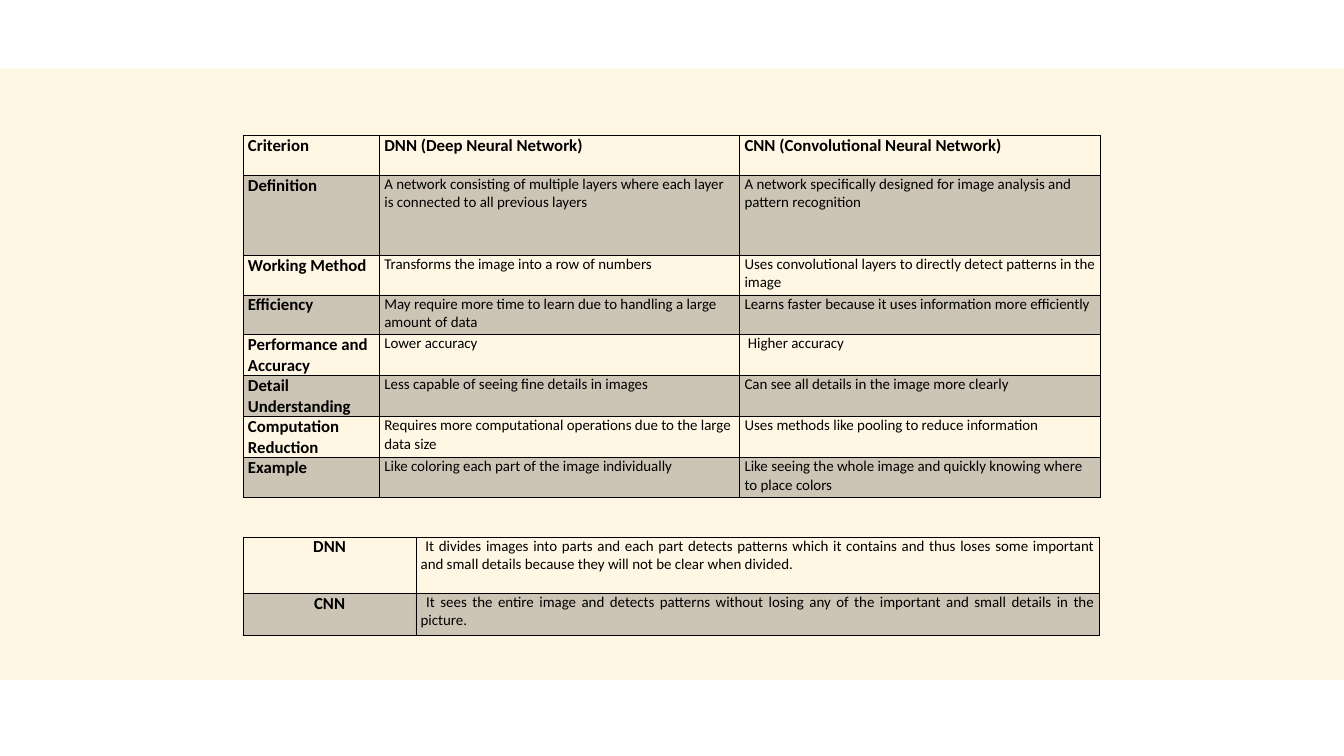
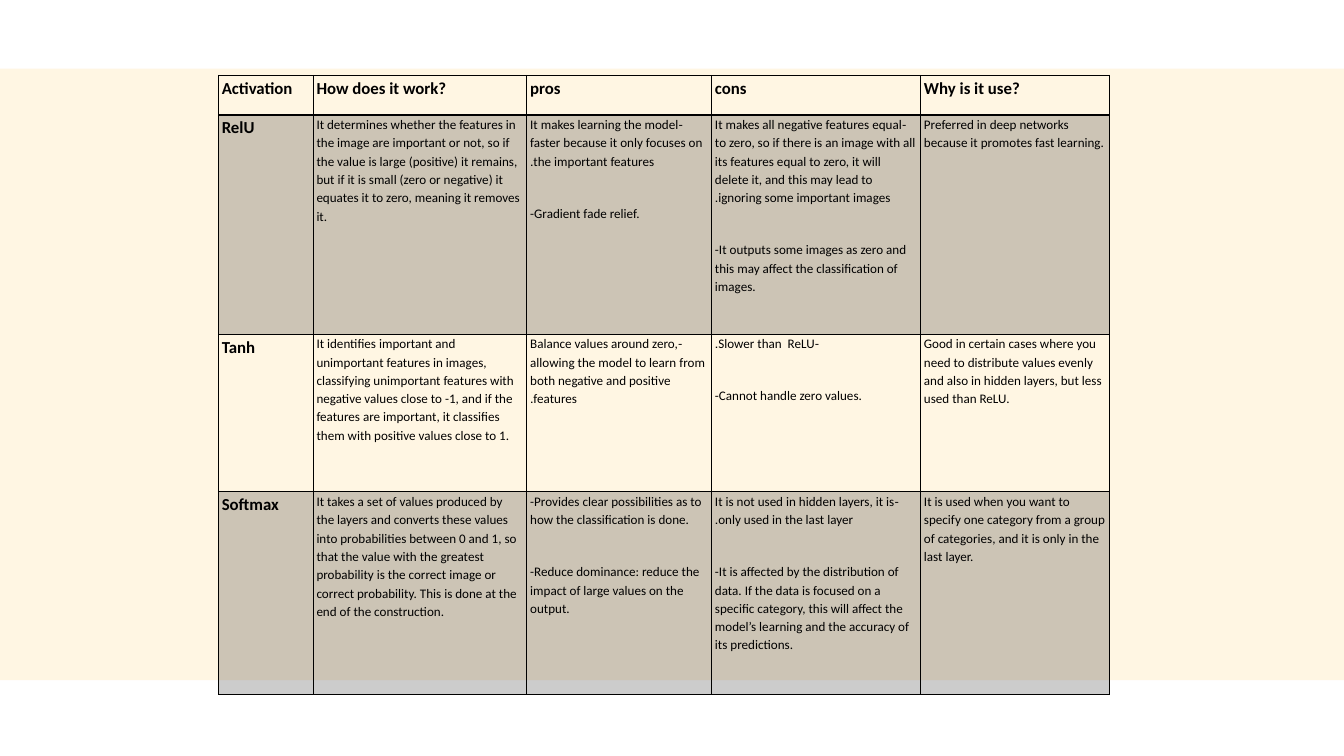
from lxml import etree
from pptx import Presentation
from pptx.dml.color import RGBColor
from pptx.enum.shapes import MSO_SHAPE
from pptx.enum.text import PP_ALIGN
from pptx.oxml.ns import qn
from pptx.util import Inches, Pt

RECTANGLE = MSO_SHAPE.RECTANGLE
LEFT, CENTER, JUSTIFY = PP_ALIGN.LEFT, PP_ALIGN.CENTER, PP_ALIGN.JUSTIFY

COLORS = {"band": "FFF6E3", "ink": "000000"}
FONT = "Calibri"
LABEL_SIZE = 18
SHADE_OPACITY = 20  # percent

NETWORKS = [
    ["Criterion", "DNN (Deep Neural Network)", "CNN (Convolutional Neural Network)"],
    ["Definition",
     "A network consisting of multiple layers where each layer is connected to all previous layers",
     "A network specifically designed for image analysis and pattern recognition"],
    ["Working Method", "Transforms the image into a row of numbers",
     "Uses convolutional layers to directly detect patterns in the image"],
    ["Efficiency", "May require more time to learn due to handling a large amount of data",
     "Learns faster because it uses information more efficiently"],
    ["Performance and Accuracy", "Lower accuracy", " Higher accuracy"],
    ["Detail Understanding", "Less capable of seeing fine details in images",
     "Can see all details in the image more clearly"],
    ["Computation Reduction",
     "Requires more computational operations due to the large data size",
     "Uses methods like pooling to reduce information"],
    ["Example", "Like coloring each part of the image individually",
     "Like seeing the whole image and quickly knowing where to place colors"],
]

SUMMARY = [
    ["DNN", " It divides images into parts and each part detects patterns which it contains and "
     "thus loses some important and small details because they will not be clear when divided."],
    ["CNN", " It sees the entire image and detects patterns without losing any of the important "
     "and small details in the picture."],
]

# A line break inside a cell starts a new paragraph
ACTIVATIONS = [
    ["Activation", "How does it work?", "pros", "cons", "Why is it use?"],
    ["RelU",
     "It determines whether the features in the image are important or not, so if the value is "
     "large (positive) it remains, but if it is small (zero or negative) it equates it to zero, "
     "meaning it removes it.",
     "-It makes learning the model faster because it only focuses on the important features.\n"
     "-Gradient fade relief.",
     "-It makes all negative features equal to zero, so if there is an image with all its "
     "features equal to zero, it will delete it, and this may lead to ignoring some important "
     "images.\n"
     "-It outputs some images as zero and this may affect the classification of images.",
     "Preferred in deep networks because it promotes fast learning."],
    ["Tanh",
     "It identifies important and unimportant features in images, classifying unimportant "
     "features with negative values close to -1, and if the features are important, it "
     "classifies them with positive values close to 1.",
     "-Balance values around zero, allowing the model to learn from both negative and positive "
     "features.",
     "-Slower than  ReLU.\n-Cannot handle zero values.",
     "Good in certain cases where you need to distribute values evenly and also in hidden "
     "layers, but less used than ReLU."],
    ["Softmax",
     "It takes a set of values produced by the layers and converts these values into "
     "probabilities between 0 and 1, so that the value with the greatest probability is the "
     "correct image or correct probability. This is done at the end of the construction.",
     "-Provides clear possibilities as to how the classification is done.\n"
     "-Reduce dominance: reduce the impact of large values on the output.",
     "-It is not used in hidden layers, it is only used in the last layer.\n"
     "-It is affected by the distribution of data. If the data is focused on a specific "
     "category, this will affect the model’s learning and the accuracy of its predictions.",
     "It is used when you want to specify one category from a group of categories, and it is "
     "only in the last layer."],
]
# Cells whose first paragraph runs right to left
RTL_CELLS = {(1, 2), (1, 3), (2, 2), (2, 3), (3, 3)}


def rgb(name):
    return RGBColor.from_string(COLORS[name])


def add_band_slide(prs):
    """Blank slide with the cream band across the middle."""
    s = prs.slides.add_slide(prs.slide_layouts[6])
    band = s.shapes.add_shape(RECTANGLE, 0, Inches(1.02), prs.slide_width, Inches(9.1))
    band.shadow.inherit = False
    band.fill.solid()
    band.fill.fore_color.rgb = rgb("band")
    band.line.fill.background()
    return s


def fill_cell(cell, shaded):
    if not shaded:
        cell.fill.background()
        return
    cell.fill.solid()
    cell.fill.fore_color.rgb = rgb("ink")
    color = cell._tc.tcPr.find(f"{qn('a:solidFill')}/{qn('a:srgbClr')}")
    etree.SubElement(color, qn("a:alpha"), val=str(SHADE_OPACITY * 1000))


def border_cell(cell, bottom):
    """Draw 1 pt borders, with a bottom border of its own width."""
    tc_pr = cell._tc.get_or_add_tcPr()
    widths = {"L": 1, "R": 1, "T": 1, "B": bottom}
    for i, (side, width) in enumerate(widths.items()):
        ln = etree.Element(qn(f"a:ln{side}"), w=str(Pt(width)))
        fill = etree.SubElement(ln, qn("a:solidFill"))
        etree.SubElement(fill, qn("a:srgbClr"), val=COLORS["ink"])
        tc_pr.insert(i, ln)


def write_cell(cell, text, size, bold, align, spacing, rtl):
    tf = cell.text_frame
    tf.text = text
    for p in tf.paragraphs:
        p.alignment = align
        if spacing:
            line, after, gap = spacing
            p.line_spacing = line
            p.space_after = Pt(after if p._p is tf.paragraphs[-1]._p else gap)
        for r in p.runs:
            r.font.name = FONT
            r.font.size = Pt(size)
            r.font.bold = bold
            r.font.color.rgb = rgb("ink")
    if rtl:
        tf.paragraphs[0]._p.get_or_add_pPr().set("rtl", "1")


def add_striped_table(s, left, top, widths, heights, rows, size, inset, header=True,
                      aligns=None, spacing=None, rtl_cells=()):
    """Bordered table with every second row shaded and bold labels."""
    frame = s.shapes.add_table(len(rows), len(widths), Inches(left), Inches(top),
                               Inches(sum(widths)), Inches(sum(heights)))
    table = frame.table
    table.first_row = table.horz_banding = False
    for column, width in zip(table.columns, widths):
        column.width = Inches(width)
    for row, height in zip(table.rows, heights):
        row.height = Inches(height)

    for i, texts in enumerate(rows):
        for j, text in enumerate(texts):
            cell = table.cell(i, j)
            cell.margin_left = cell.margin_right = Inches(inset)
            cell.margin_top = cell.margin_bottom = 0
            label = j == 0 or (header and i == 0)
            write_cell(cell, text, LABEL_SIZE if label else size, label,
                       aligns[j] if aligns else LEFT, spacing, (i, j) in rtl_cells)
            fill_cell(cell, shaded=i % 2 == 1)
            border_cell(cell, bottom=2 if i == 0 else 1)


def main():
    prs = Presentation()
    prs.slide_width, prs.slide_height = Inches(20), Inches(11.25)

    # Slide 1: DNN and CNN compared, then summed up
    s = add_band_slide(prs)
    add_striped_table(s, 3.62, 2.02, [2.03, 5.36, 5.36], [0.59, 1.19] + [0.59] * 6,
                      NETWORKS, size=16, inset=0.07)
    add_striped_table(s, 3.62, 7.99, [2.57, 10.17], [0.84, 0.63], SUMMARY, size=16,
                      inset=0.07, header=False, aligns=[CENTER, JUSTIFY])

    # Slide 2: activation functions
    s = add_band_slide(prs)
    add_striped_table(s, 3.25, 1.12, [1.41, 3.18, 2.75, 3.11, 2.81],
                      [0.59, 3.26, 2.35, 3.02], ACTIVATIONS, size=14, inset=0.05,
                      spacing=(1.15, 8, 36), rtl_cells=RTL_CELLS)

    prs.save("out.pptx")


if __name__ == "__main__":
    main()
